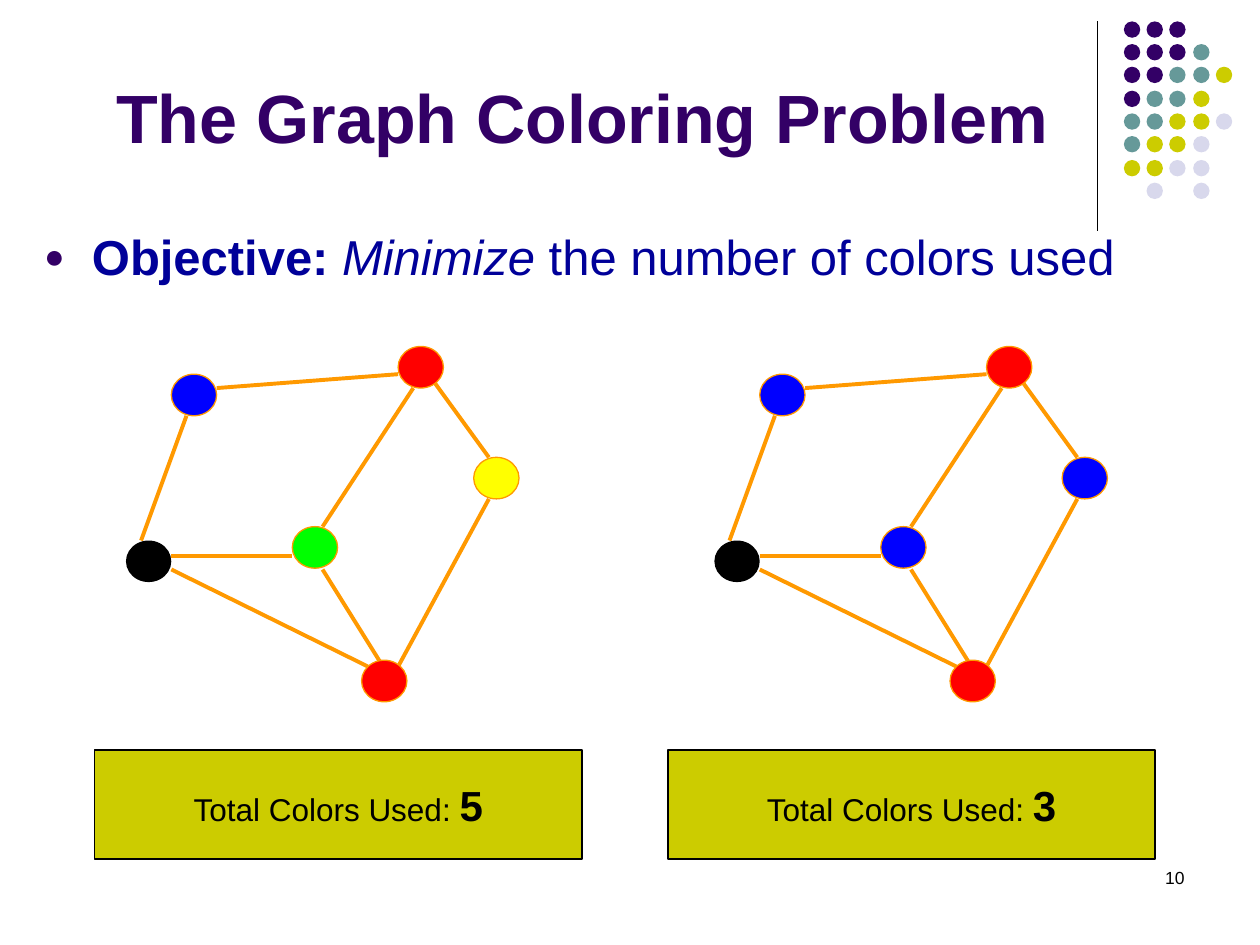
from lxml.etree import SubElement
from pptx import Presentation
from pptx.dml.color import RGBColor
from pptx.enum.shapes import MSO_CONNECTOR as Connector, MSO_SHAPE as Shape
from pptx.enum.text import MSO_ANCHOR as Anchor, MSO_AUTO_SIZE as AutoSize, PP_ALIGN as Align
from pptx.oxml.ns import qn
from pptx.util import Pt

PX = 9144  # 100 px to the inch

BLACK = RGBColor(0x00, 0x00, 0x00)
PURPLE = RGBColor(0x33, 0x00, 0x66)
TEAL = RGBColor(0x66, 0x99, 0x99)
OLIVE = RGBColor(0xCC, 0xCC, 0x00)
LAVENDER = RGBColor(0xD8, 0xD8, 0xEC)
NAVY = RGBColor(0x00, 0x00, 0x99)
ORANGE = RGBColor(0xFF, 0x99, 0x00)
BLUE = RGBColor(0x00, 0x00, 0xFF)
RED = RGBColor(0xFF, 0x00, 0x00)
YELLOW = RGBColor(0xFF, 0xFF, 0x00)
GREEN = RGBColor(0x00, 0xFF, 0x00)


def add_line(shapes, ends, color, width):
    line = shapes.add_connector(Connector.STRAIGHT, *(v * PX for v in ends))
    line.line.color.rgb = color
    line.line.width = Pt(width)
    SubElement(line._element.spPr, qn("a:effectLst"))


def add_run(paragraph, text, size, color, **formats):
    run = paragraph.add_run()
    run.text = text
    run.font.color.rgb = color
    for name, value in {"name": "Arial", "size": Pt(size), **formats}.items():
        setattr(run.font, name, value)


prs = Presentation()
prs.slide_width, prs.slide_height = 1000 * PX, 750 * PX
slide = prs.slides.add_slide(prs.slide_layouts[1])

# Corner decoration: rule and dot pattern
add_line(slide.shapes, (871, 17, 871, 183), BLACK, 0.75)
dot_colors = {"P": PURPLE, "T": TEAL, "O": OLIVE, "L": LAVENDER}
dot_rows = ["PPP", "PPPT", "PPTTO", "PTTO", "TTOOL", "TOOL", "OOLL", " L L"]
dots = slide.shapes.add_group_shape().shapes
for row, pattern in enumerate(dot_rows):
    for column, key in enumerate(pattern):
        if key == " ":
            continue
        left, top = 892 + column * 55 // 3, 17 + row * 55 // 3
        dot = dots.add_shape(Shape.OVAL, left * PX, top * PX, 13 * PX, 13 * PX)
        dot.shadow.inherit = False
        dot.fill.solid()
        dot.fill.fore_color.rgb = dot_colors[key]
        dot.line.fill.background()

# Title, objective and page number
title, objective = slide.placeholders
page_number = slide.shapes.add_textbox(0, 0, PX, PX)
for holder, (left, top, width, height), anchor, align in [
    (title, (50, 50, 825, 80), Anchor.BOTTOM, Align.CENTER),
    (objective, (25, 175, 950, 75), Anchor.TOP, Align.LEFT),
    (page_number, (717, 683, 233, 50), Anchor.TOP, Align.RIGHT),
]:
    holder.left, holder.top = left * PX, top * PX
    holder.width, holder.height = width * PX, height * PX
    frame = holder.text_frame
    frame.word_wrap = True
    frame.auto_size = AutoSize.NONE
    frame.vertical_anchor = anchor
    frame.paragraphs[0].alignment = align

add_run(title.text_frame.paragraphs[0], "The Graph Coloring Problem", 39, PURPLE, bold=True)
add_run(page_number.text_frame.paragraphs[0], "10", 10, BLACK)

goal = objective.text_frame.paragraphs[0]
bullet = goal._p.get_or_add_pPr()
bullet.set("marL", str(38 * PX))
bullet.set("indent", str(-38 * PX))
SubElement(SubElement(bullet, qn("a:buClr")), qn("a:srgbClr"), val=str(PURPLE))
SubElement(bullet, qn("a:buSzPct"), val="70000")
SubElement(bullet, qn("a:buFont"), typeface="Arial")
SubElement(bullet, qn("a:buChar"), char="●")
goal.space_before = Pt(0)
add_run(goal, "Objective: ", 28, NAVY, bold=True)
add_run(goal, "Minimize", 28, NAVY, italic=True)
add_run(goal, " the number of colors used", 28, NAVY)

# The same graph under two colorings
nodes = [(136, 297), (100, 429), (316, 275), (376, 363), (232, 418), (287, 524)]
edges = [
    (136, 452, 292, 529), (136, 441, 232, 441), (256, 452, 304, 529), (316, 529, 388, 396),
    (148, 330, 112, 429), (172, 308, 316, 297), (340, 297, 388, 363), (256, 418, 328, 308),
]
colorings = [
    (0, 75, [BLUE, BLACK, RED, YELLOW, GREEN, RED]),
    (467, 530, [BLUE, BLACK, RED, BLUE, BLUE, RED]),
]
for shift, total_left, node_colors in colorings:
    graph = slide.shapes.add_group_shape().shapes
    for x1, y1, x2, y2 in edges:
        add_line(graph, (x1 + shift, y1, x2 + shift, y2), ORANGE, 2.25)
    for (left, top), color in zip(nodes, node_colors):
        node = graph.add_shape(Shape.OVAL, (left + shift) * PX, top * PX, 36 * PX, 33 * PX)
        node.shadow.inherit = False
        node.fill.solid()
        node.fill.fore_color.rgb = color
        if color == BLACK:
            node.line.fill.background()
        else:
            node.line.color.rgb = ORANGE
            node.line.width = Pt(0.75)

    # Count of distinct colors
    total = graph.add_shape(Shape.RECTANGLE, total_left * PX, 595 * PX, 387 * PX, 87 * PX)
    total.shadow.inherit = False
    total.fill.solid()
    total.fill.fore_color.rgb = OLIVE
    total.line.color.rgb = BLACK
    total.line.width = Pt(1)
    total.text_frame.word_wrap = False
    total.text_frame.vertical_anchor = Anchor.MIDDLE
    count = total.text_frame.paragraphs[0]
    count.alignment = Align.CENTER
    add_run(count, "Total Colors Used: ", 18, BLACK)
    add_run(count, str(len(set(node_colors))), 24, BLACK, bold=True)

prs.save("out.pptx")
